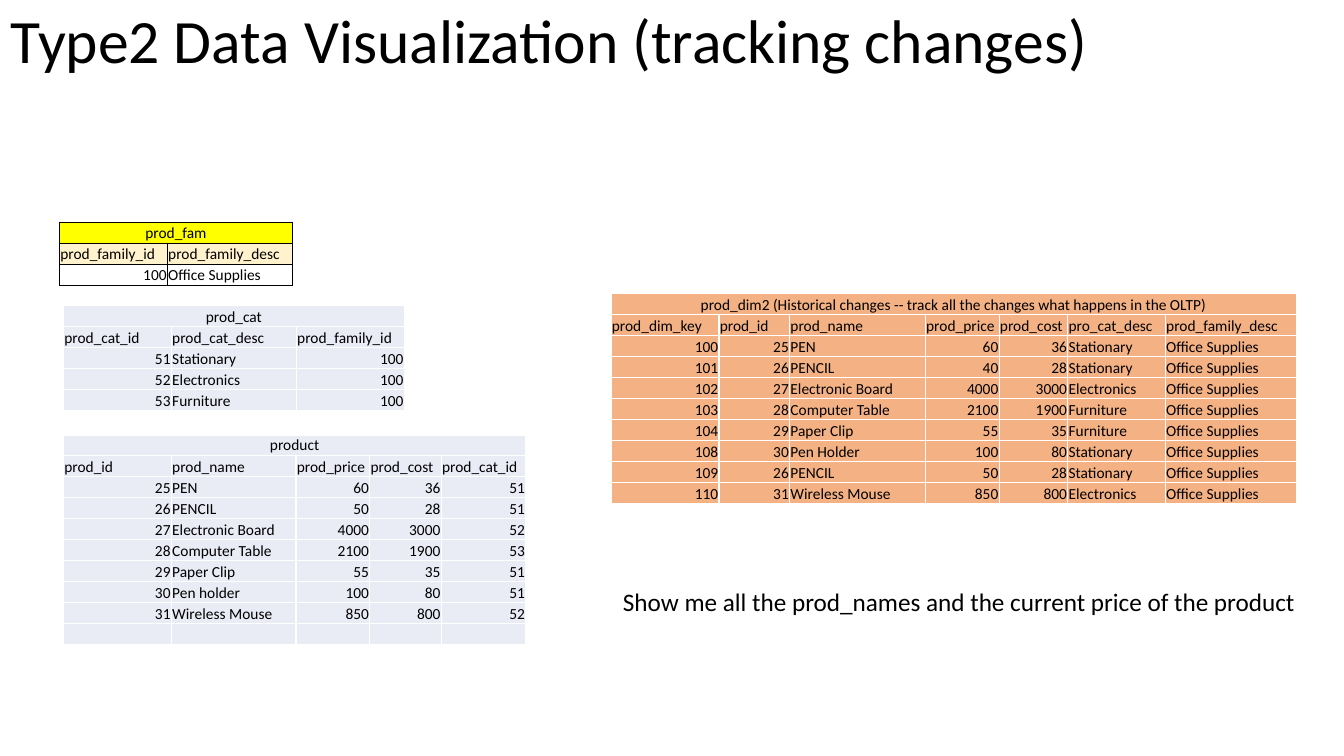
from dataclasses import dataclass

from lxml.etree import SubElement
from pptx import Presentation
from pptx.dml.color import RGBColor
from pptx.enum.text import MSO_ANCHOR, MSO_AUTO_SIZE, PP_ALIGN
from pptx.oxml.ns import qn
from pptx.slide import Slide
from pptx.table import _Cell
from pptx.text.text import _Paragraph
from pptx.util import Cm, Pt

ROW_HEIGHT = 0.53
LAVENDER = "E9EBF5"
ORANGE = "F4B183"
SUPPLIES = "Office Supplies"


@dataclass
class DataTable:
    left: float
    top: float
    widths: list[float]
    title: str
    header: list[str]
    records: list[list[str]]
    title_fill: str
    header_fill: str
    record_fill: str | None
    border: str = "FFFFFF"
    border_pt: float = 1
    title_height: float = ROW_HEIGHT


def color(value: str) -> RGBColor:
    return RGBColor.from_string(value)


def add_run(p: _Paragraph, text: str, size: float) -> None:
    r = p.add_run()
    r.text = text
    r.font.size = Pt(size)
    r.font.name = "Calibri"
    r.font.color.rgb = color("000000")


def set_borders(cell: _Cell, value: str, width: float) -> None:
    tc_pr = cell._tc.get_or_add_tcPr()
    for side in ("lnL", "lnR", "lnT", "lnB"):
        ln = SubElement(tc_pr, qn(f"a:{side}"), w=str(Pt(width)))
        fill = SubElement(ln, qn("a:solidFill"))
        SubElement(fill, qn("a:srgbClr"), val=value)


def fill_cell(cell: _Cell, text: str, fill: str | None, align: PP_ALIGN) -> None:
    if fill:
        cell.fill.solid()
        cell.fill.fore_color.rgb = color(fill)
    else:
        cell.fill.background()
    cell.margin_left = cell.margin_right = cell.margin_top = Cm(0.02)
    cell.margin_bottom = 0
    cell.vertical_anchor = MSO_ANCHOR.BOTTOM
    p = cell.text_frame.paragraphs[0]
    p.alignment = align
    if text:
        add_run(p, text, 11)
    else:
        SubElement(p._p, qn("a:endParaRPr"), sz="1100")


def draw_table(s: Slide, data: DataTable) -> None:
    columns = len(data.widths)
    rows = [[data.title] + [""] * (columns - 1), data.header, *data.records]
    fills = [data.title_fill, data.header_fill] + [data.record_fill] * len(data.records)
    heights = [data.title_height] + [ROW_HEIGHT] * (len(rows) - 1)
    table = s.shapes.add_table(
        len(rows), columns, Cm(data.left), Cm(data.top),
        Cm(sum(data.widths)), Cm(sum(heights)),
    ).table
    table.first_row = table.horz_banding = False
    for column, width in zip(table.columns, data.widths):
        column.width = Cm(width)
    for i, (texts, fill) in enumerate(zip(rows, fills)):
        table.rows[i].height = Cm(heights[i])
        for j, text in enumerate(texts):
            align = PP_ALIGN.RIGHT if text.isdigit() else PP_ALIGN.LEFT
            if i == 0:
                align = PP_ALIGN.CENTER
            cell = table.cell(i, j)
            set_borders(cell, data.border, data.border_pt)
            fill_cell(cell, text, fill, align)
    table.cell(0, 0).merge(table.cell(0, columns - 1))


def draw_title(s: Slide, text: str) -> None:
    sp = s.shapes.title
    sp.left, sp.top, sp.width, sp.height = Cm(0.02), Cm(-0.03), Cm(31.4), Cm(2.26)
    tf = sp.text_frame
    tf.word_wrap = True
    tf.vertical_anchor = MSO_ANCHOR.MIDDLE
    p = tf.paragraphs[0]
    p.alignment = PP_ALIGN.LEFT
    p.line_spacing = 0.9
    add_run(p, text, 44)


def draw_request(s: Slide, text: str) -> None:
    sp = s.shapes.add_textbox(Cm(15.45), Cm(14.64), Cm(17.67), Cm(1.03))
    tf = sp.text_frame
    tf.word_wrap = False
    tf.auto_size = MSO_AUTO_SIZE.SHAPE_TO_FIT_TEXT
    add_run(tf.paragraphs[0], text, 18)


TABLES = [
    DataTable(
        1.5, 5.59, [2.72, 3.15], "prod_fam",
        ["prod_family_id", "prod_family_desc"],
        [["100", SUPPLIES]],
        "FFFF00", "FFF2CC", None, "000000", 0.5,
    ),
    DataTable(
        1.6, 7.7, [2.72, 3.15, 2.72], "prod_cat",
        ["prod_cat_id", "prod_cat_desc", "prod_family_id"],
        [
            ["51", "Stationary", "100"],
            ["52", "Electronics", "100"],
            ["53", "Furniture", "100"],
        ],
        LAVENDER, LAVENDER, LAVENDER,
    ),
    DataTable(
        1.6, 10.97, [2.72, 3.14, 1.86, 1.8, 2.13], "product",
        ["prod_id", "prod_name", "prod_price", "prod_cost", "prod_cat_id"],
        [
            ["25", "PEN", "60", "36", "51"],
            ["26", "PENCIL", "50", "28", "51"],
            ["27", "Electronic Board", "4000", "3000", "52"],
            ["28", "Computer Table", "2100", "1900", "53"],
            ["29", "Paper Clip", "55", "35", "51"],
            ["30", "Pen holder", "100", "80", "51"],
            ["31", "Wireless Mouse", "850", "800", "52"],
            [""] * 5,
        ],
        LAVENDER, LAVENDER, LAVENDER, title_height=0.5,
    ),
    DataTable(
        15.4, 7.39, [2.72, 1.78, 3.42, 1.86, 1.73, 2.46, 3.3],
        "prod_dim2 (Historical changes -- track all the changes what happens in the OLTP)",
        ["prod_dim_key", "prod_id", "prod_name", "prod_price", "prod_cost",
         "pro_cat_desc", "prod_family_desc"],
        [
            ["100", "25", "PEN", "60", "36", "Stationary", SUPPLIES],
            ["101", "26", "PENCIL", "40", "28", "Stationary", SUPPLIES],
            ["102", "27", "Electronic Board", "4000", "3000", "Electronics", SUPPLIES],
            ["103", "28", "Computer Table", "2100", "1900", "Furniture", SUPPLIES],
            ["104", "29", "Paper Clip", "55", "35", "Furniture", SUPPLIES],
            ["108", "30", "Pen Holder", "100", "80", "Stationary", SUPPLIES],
            ["109", "26", "PENCIL", "50", "28", "Stationary", SUPPLIES],
            ["110", "31", "Wireless Mouse", "850", "800", "Electronics", SUPPLIES],
        ],
        ORANGE, ORANGE, ORANGE,
    ),
]


def main() -> None:
    prs = Presentation()
    prs.slide_width, prs.slide_height = Cm(33.87), Cm(19.05)
    s = prs.slides.add_slide(prs.slide_layouts[5])
    draw_title(s, "Type2 Data Visualization (tracking changes)")
    for data in TABLES:
        draw_table(s, data)
    draw_request(s, "Show me all the prod_names and the current price of the product")
    prs.save("out.pptx")


if __name__ == "__main__":
    main()
